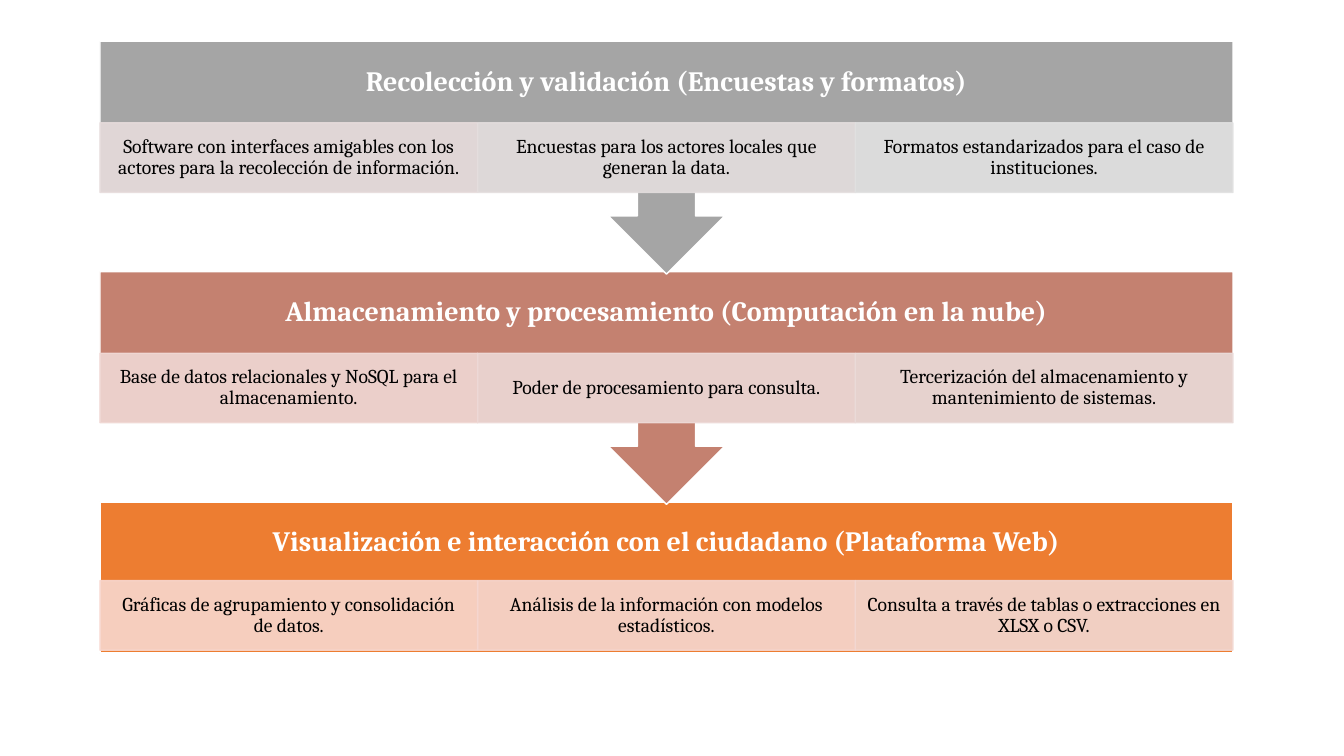
from lxml import etree
from pptx import Presentation
from pptx import util as u
from pptx.dml.color import RGBColor
from pptx.enum import shapes, text
from pptx.oxml.ns import qn

COLORS = {
    "white": "FFFFFF", "black": "000000",
    "collect": "A5A5A5", "store": "C48170", "show": "ED7D31",
    "collect1": "E7DCDC", "collect2": "E4DEDE", "collect3": "E1E1E1",
    "store1": "F0D8D4", "store2": "EDD9D7", "store3": "EADBD9",
    "show1": "F8D7CE", "show2": "F5D7D0", "show3": "F2D8D2",
}
LEFT, TOP, WIDTH, PITCH = 71.4, 29.5, 809.3, 164.5
HEAD_H, CELL_H, BOX_H, CALLOUT_H = 58.3, 49.7, 108, 166.3

STAGES = [
    ("collect", "Recolección y validación (Encuestas y formatos)", [
        "Software con interfaces amigables con los actores para la recolección de información.",
        "Encuestas para los actores locales que generan la data.",
        "Formatos estandarizados para el caso de instituciones."]),
    ("store", "Almacenamiento y procesamiento (Computación en la nube)", [
        "Base de datos relacionales y NoSQL para el almacenamiento.",
        "Poder de procesamiento para consulta.",
        "Tercerización del almacenamiento y mantenimiento de sistemas."]),
    ("show", "Visualización e interacción con el ciudadano (Plataforma Web)", [
        "Gráficas de agrupamiento y consolidación de datos.",
        "Análisis de la información con modelos estadísticos.",
        "Consulta a través de tablas o extracciones en XLSX o CSV."]),
]


def rgb(name):
    return RGBColor.from_string(COLORS[name])


def write(sp, content, *, size, color, bold=False, inset=(0, 0)):
    tf = sp.text_frame
    tf.word_wrap = True
    tf.vertical_anchor = text.MSO_ANCHOR.MIDDLE
    tf.margin_left = tf.margin_right = u.Pt(inset[0])
    tf.margin_top = tf.margin_bottom = u.Pt(inset[1])
    p = tf.paragraphs[0]
    p.alignment = text.PP_ALIGN.CENTER
    p.line_spacing = 0.9
    r = p.add_run()
    r.text = content
    r.font.name = "Cambria"
    r.font.size = u.Pt(size)
    r.font.bold = bold
    r.font.color.rgb = rgb(color)


def add_block(s, kind, box, fill, line, alpha=None):
    sp = s.shapes.add_shape(kind, *map(u.Pt, box))
    sp.shadow.inherit = False
    sp.fill.solid()
    sp.fill.fore_color.rgb = rgb(fill)
    sp.line.color.rgb = rgb(line)
    sp.line.width = u.Pt(1)
    if alpha:
        for clr in sp.fill._xPr.iter(qn("a:srgbClr")):
            etree.SubElement(clr, qn("a:alpha")).set("val", str(alpha * 1000))
    return sp


def add_stage(s, top, key, title, details, last):
    if last:
        add_block(s, shapes.MSO_SHAPE.RECTANGLE, (LEFT, top, WIDTH, BOX_H), key, "white")
    else:
        callout = add_block(s, shapes.MSO_SHAPE.UP_ARROW_CALLOUT,
                            (LEFT, top, WIDTH, CALLOUT_H), key, "white")
        callout.rotation = 180
    heading = s.shapes.add_textbox(*map(u.Pt, (LEFT, top, WIDTH, HEAD_H)))
    write(heading, title, size=20, color="white", bold=True, inset=(11.2, 11.2))
    cell_w = WIDTH / len(details)
    cell_top = top + (56.2 if last else HEAD_H)
    for i, detail in enumerate(details):
        shade = f"{key}{i + 1}"
        cell = add_block(s, shapes.MSO_SHAPE.RECTANGLE,
                         (LEFT + i * cell_w, cell_top, cell_w, CELL_H),
                         shade, shade, alpha=90)
        write(cell, detail, size=14, color="black", inset=(7.9, 1.4))


def main():
    prs = Presentation()
    prs.slide_width, prs.slide_height = u.Pt(960), u.Pt(540)
    s = prs.slides.add_slide(prs.slide_layouts[6])
    for i, stage in reversed(list(enumerate(STAGES))):
        add_stage(s, TOP + i * PITCH, *stage, last=i == len(STAGES) - 1)
    prs.save("out.pptx")


main()
